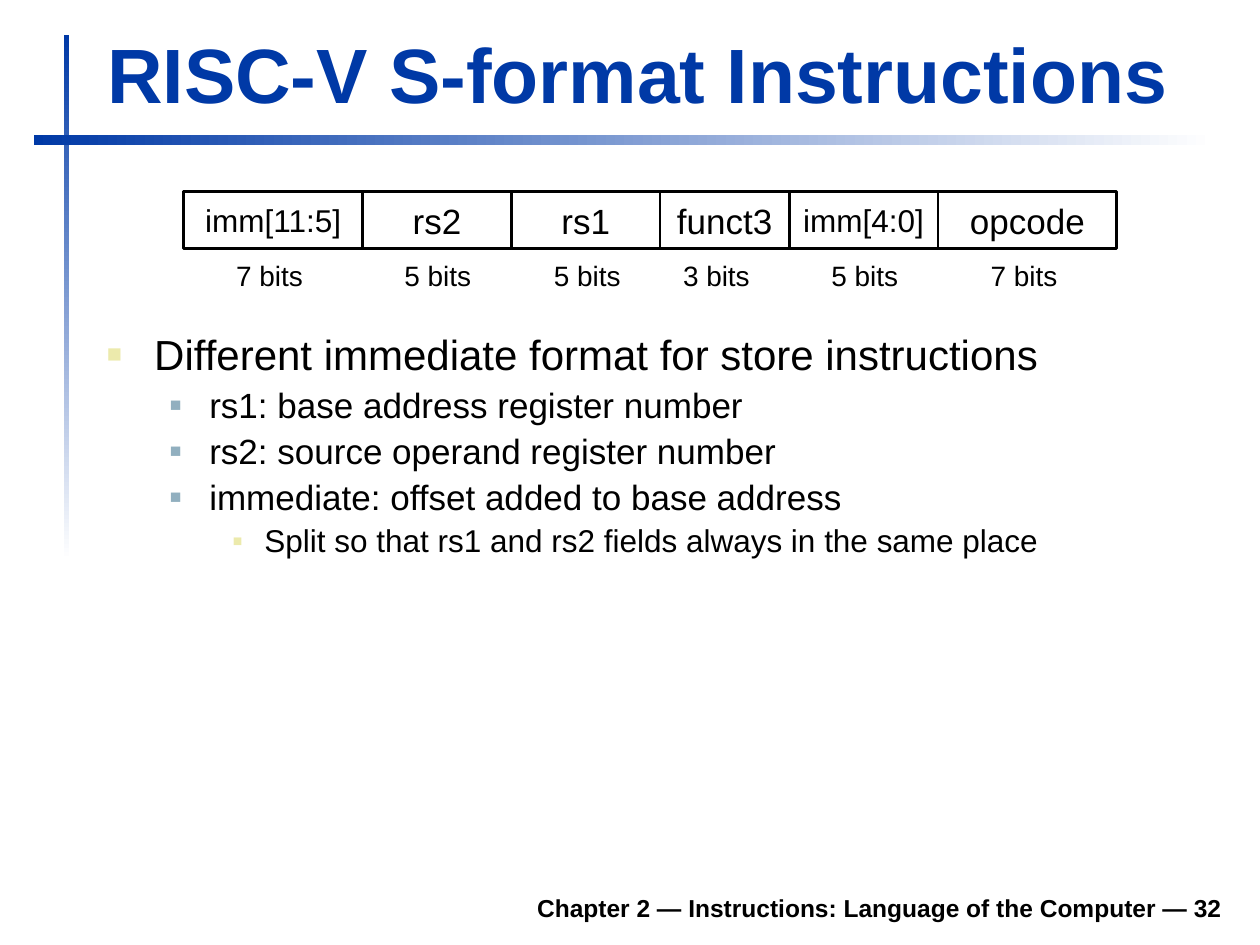
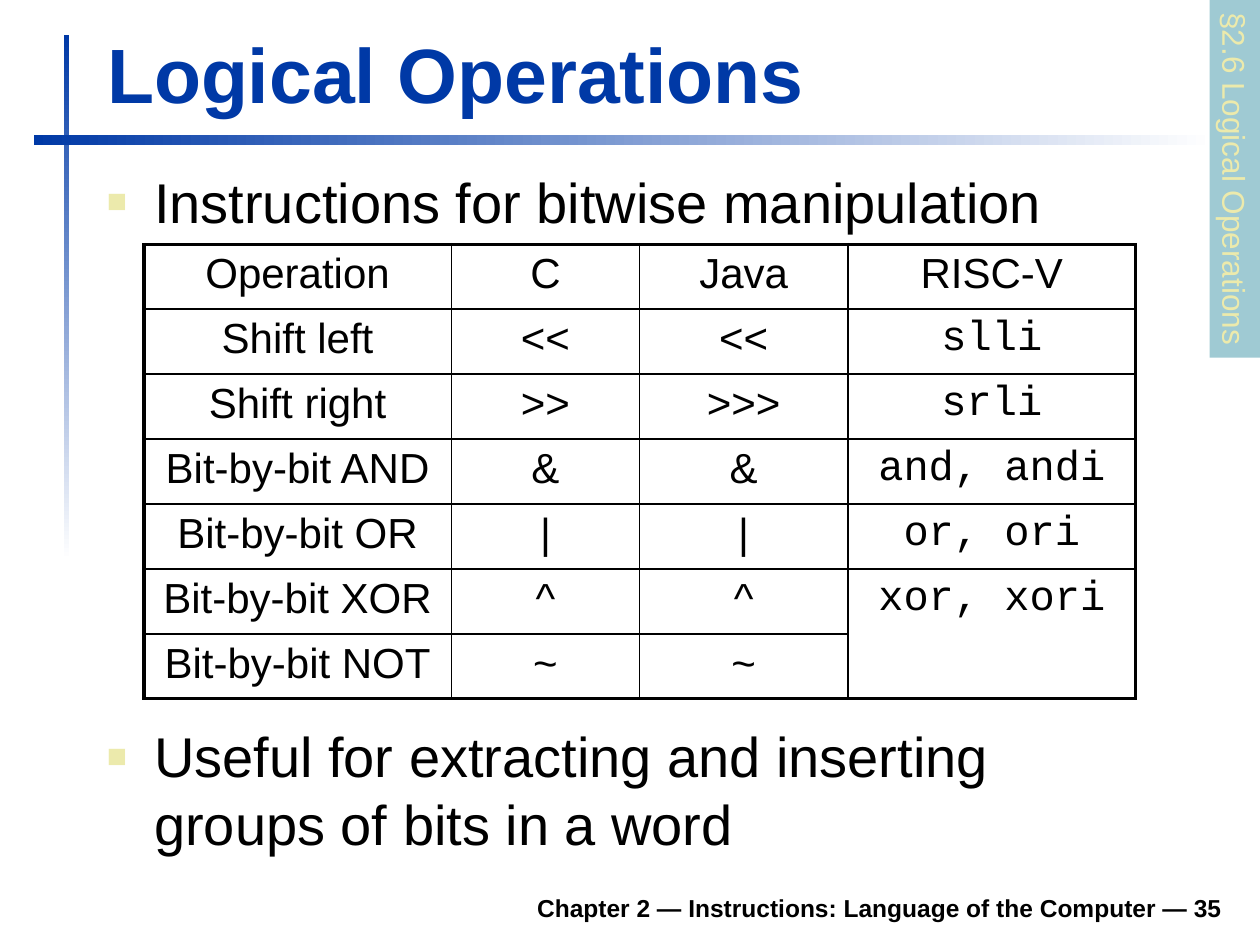
from itertools import accumulate
from lxml.etree import SubElement
from pptx import Presentation
from pptx.dml.color import RGBColor
from pptx.enum.shapes import MSO_SHAPE
from pptx.enum.text import MSO_ANCHOR, MSO_AUTO_SIZE, PP_ALIGN
from pptx.oxml import parse_xml
from pptx.oxml.ns import nsdecls, qn
from pptx.util import Pt

BLUE, BLACK, WHITE = "0039A6", "000000", "FFFFFF"
CREAM, STEEL, AQUA = "ECEAAC", "91AFBF", "9FCAD3"
SANS, MONO = "Arial", "Courier New"
TITLE_ONLY = 5
BULLET_LEVELS = [
    {"left": 27, "hang": 27, "color": CREAM, "percent": 60},
    {"left": 58.5, "hang": 22.5, "color": STEEL, "percent": 55},
    {"left": 90, "hang": 18, "color": CREAM, "percent": 50},
]
SPACE_RATIO = 0.24


def rgb(color):
    return RGBColor.from_string(color)


def points(*lengths):
    return [Pt(length) for length in lengths]


class Deck:
    """Holds the shared style and the slide being built."""

    def __init__(self):
        self.presentation = Presentation()
        self.presentation.slide_width, self.presentation.slide_height = points(720, 540)
        self.slide = None

    def new_slide(self, title, number):
        layout = self.presentation.slide_layouts[TITLE_ONLY]
        self.slide = self.presentation.slides.add_slide(layout)
        self.gradient_bar((36.7, 20, 2.9, 300), 270)
        self.gradient_bar((19.4, 77, 674.6, 5.8), 0)
        self.title(title)
        self.text_box(f"Chapter 2 — Instructions: Language of the Computer — {number}",
                      (133.2, 502.6, 572.4, 28), 14, bold=True,
                      alignment=PP_ALIGN.RIGHT, anchor=MSO_ANCHOR.BOTTOM)

    def set_text(self, paragraph, text, size, color=BLACK, name=SANS, bold=False,
                 alignment=PP_ALIGN.LEFT):
        paragraph.text = text
        paragraph.alignment = alignment
        font = paragraph.font
        for attribute, value in {"size": Pt(size), "name": name, "bold": bold}.items():
            setattr(font, attribute, value)
        font.color.rgb = rgb(color)

    def frame(self, shape, anchor=MSO_ANCHOR.TOP, wrap=True):
        settings = {"auto_size": MSO_AUTO_SIZE.NONE, "vertical_anchor": anchor,
                    "word_wrap": wrap}
        for attribute, value in settings.items():
            setattr(shape.text_frame, attribute, value)
        return shape.text_frame

    def title(self, text):
        shape = self.slide.shapes.title
        for attribute, value in zip(("left", "top", "width", "height"),
                                    points(54, 11.5, 650, 59.8)):
            setattr(shape, attribute, value)
        frame = self.frame(shape, MSO_ANCHOR.BOTTOM)
        self.set_text(frame.paragraphs[0], text, 44, BLUE, bold=True)

    def text_box(self, text, box, size, anchor=MSO_ANCHOR.TOP, wrap=True, **style):
        shape = self.slide.shapes.add_textbox(*points(*box))
        self.set_text(self.frame(shape, anchor, wrap).paragraphs[0], text, size, **style)

    def rectangle(self, box):
        shape = self.slide.shapes.add_shape(MSO_SHAPE.RECTANGLE, *points(*box))
        shape.shadow.inherit = False
        shape.line.fill.background()
        return shape

    def gradient_bar(self, box, angle):
        fill = self.rectangle(box).fill
        fill.gradient()
        fill.gradient_angle = angle
        for stop, color, position in zip(fill.gradient_stops, (BLUE, WHITE), (0, 1)):
            stop.color.rgb = rgb(color)
            stop.position = position

    def outlined_field(self, text, box, size):
        shape = self.rectangle(box)
        shape.fill.background()
        shape.line.color.rgb = rgb(BLACK)
        shape.line.width = Pt(1.5)
        frame = self.frame(shape, MSO_ANCHOR.MIDDLE, wrap=False)
        self.set_text(frame.paragraphs[0], text, size, alignment=PP_ALIGN.CENTER)

    def section_tab(self, text, box):
        shape = self.rectangle(box)
        shape.rotation = 90
        shape.fill.solid()
        shape.fill.fore_color.rgb = rgb(AQUA)
        frame = self.frame(shape, MSO_ANCHOR.MIDDLE, wrap=False)
        self.set_text(frame.paragraphs[0], text, 18, CREAM)

    def bullets(self, items, box, line_spacing=1.0):
        frame = self.frame(self.slide.shapes.add_textbox(*points(*box)))
        for index, (level, size, text) in enumerate(items):
            paragraph = frame.add_paragraph() if index else frame.paragraphs[0]
            self.add_bullet(paragraph, **BULLET_LEVELS[level])
            paragraph.level = level
            paragraph.line_spacing = line_spacing
            paragraph.space_before = Pt(SPACE_RATIO * size if index else 0)
            self.set_text(paragraph, text, size)

    def add_bullet(self, paragraph, left, hang, color, percent):
        properties = paragraph._p.get_or_add_pPr()
        properties.set("marL", str(Pt(left)))
        properties.set("indent", str(-Pt(hang)))
        SubElement(SubElement(properties, qn("a:buClr")), qn("a:srgbClr"), val=color)
        SubElement(properties, qn("a:buSzPct"), val=str(percent * 1000))
        SubElement(properties, qn("a:buFont"), typeface=SANS)
        SubElement(properties, qn("a:buChar"), char="■")

    def table(self, rows, left, top, widths, row_height, merge):
        height = row_height * len(rows)
        graphic = self.slide.shapes.add_table(
            len(rows), len(widths), *points(left, top, sum(widths), height))
        table = graphic.table
        table.first_row = table.horz_banding = False
        for column, width in zip(table.columns, widths):
            column.width = Pt(width)
        for row in table.rows:
            row.height = Pt(row_height)
        first, last = merge
        table.cell(*first).merge(table.cell(*last))
        for row, texts in enumerate(rows):
            for column, text in enumerate(texts):
                cell = table.cell(row, column)
                is_code = row > 0 and column == len(widths) - 1
                self.set_text(cell.text_frame.paragraphs[0], text, 24,
                              name=MONO if is_code else SANS, alignment=PP_ALIGN.CENTER)
                cell.fill.background()
                self.borders(cell, row, column, len(rows), len(widths))

    def borders(self, cell, row, column, row_count, column_count):
        def vertical(edge):
            return 2.25 if edge in (0, column_count) else 1

        def horizontal(edge):
            return 2.25 if edge in (0, row_count) else 1.5 if edge == 1 else 1

        bottom = row + (cell.span_height if cell.is_merge_origin else 1)
        sides = {"lnL": vertical(column), "lnR": vertical(column + 1),
                 "lnT": horizontal(row), "lnB": horizontal(bottom)}
        properties = cell._tc.get_or_add_tcPr()
        for index, (side, width) in enumerate(sides.items()):
            properties.insert(index, parse_xml(
                f'<a:{side} {nsdecls("a")} w="{Pt(width)}"><a:solidFill>'
                f'<a:srgbClr val="{BLACK}"/></a:solidFill></a:{side}>'))


def build_s_format(deck):
    deck.new_slide("RISC-V S-format Instructions", 32)
    deck.bullets([
        (0, 24, "Different immediate format for store instructions"),
        (1, 20, "rs1: base address register number"),
        (1, 20, "rs2: source operand register number"),
        (1, 20, "immediate: offset added to base address"),
        (2, 18, "Split so that rs1 and rs2 fields always in the same place"),
    ], (54, 187.4, 651.6, 306), line_spacing=0.9)
    fields = [
        ("imm[11:5]", 18, 102.2, 7, 154), ("rs2", 20, 85, 5, 250.2),
        ("rs1", 20, 85, 5, 335.6), ("funct3", 20, 73.8, 3, 409.4),
        ("imm[4:0]", 18, 85, 5, 494.2), ("opcode", 20, 102.2, 7, 585.2),
    ]
    lefts = accumulate((field[2] for field in fields), initial=105)
    for left, (name, size, width, bits, center) in zip(lefts, fields):
        deck.outlined_field(name, (left, 109.6, width, 32.4), size)
        deck.text_box(f"{bits} bits", (center - 26.5, 144.2, 53, 26.6), 16,
                      wrap=False, alignment=PP_ALIGN.CENTER)


def build_logical_operations(deck):
    deck.new_slide("Logical Operations", 35)
    deck.bullets([(0, 32, "Instructions for bitwise manipulation")],
                 (54, 92, 651.6, 54.7))
    deck.table([
        ("Operation", "C", "Java", "RISC-V"),
        ("Shift left", "<<", "<<", "slli"),
        ("Shift right", ">>", ">>>", "srli"),
        ("Bit-by-bit AND", "&", "&", "and, andi"),
        ("Bit-by-bit OR", "|", "|", "or, ori"),
        ("Bit-by-bit XOR", "^", "^", "xor, xori"),
        ("Bit-by-bit NOT", "~", "~"),
    ], 82.2, 139.7, (175.7, 107.6, 119, 164.5), 37.1, merge=((5, 3), (6, 3)))
    deck.bullets([(0, 32, "Useful for extracting and inserting groups of bits in a word")],
                 (54, 409, 612, 73.4))
    deck.section_tab("§2.6 Logical Operations", (603.4, 87.8, 204.5, 28.8))


def main():
    deck = Deck()
    build_s_format(deck)
    build_logical_operations(deck)
    deck.presentation.save("out.pptx")


if __name__ == "__main__":
    main()
